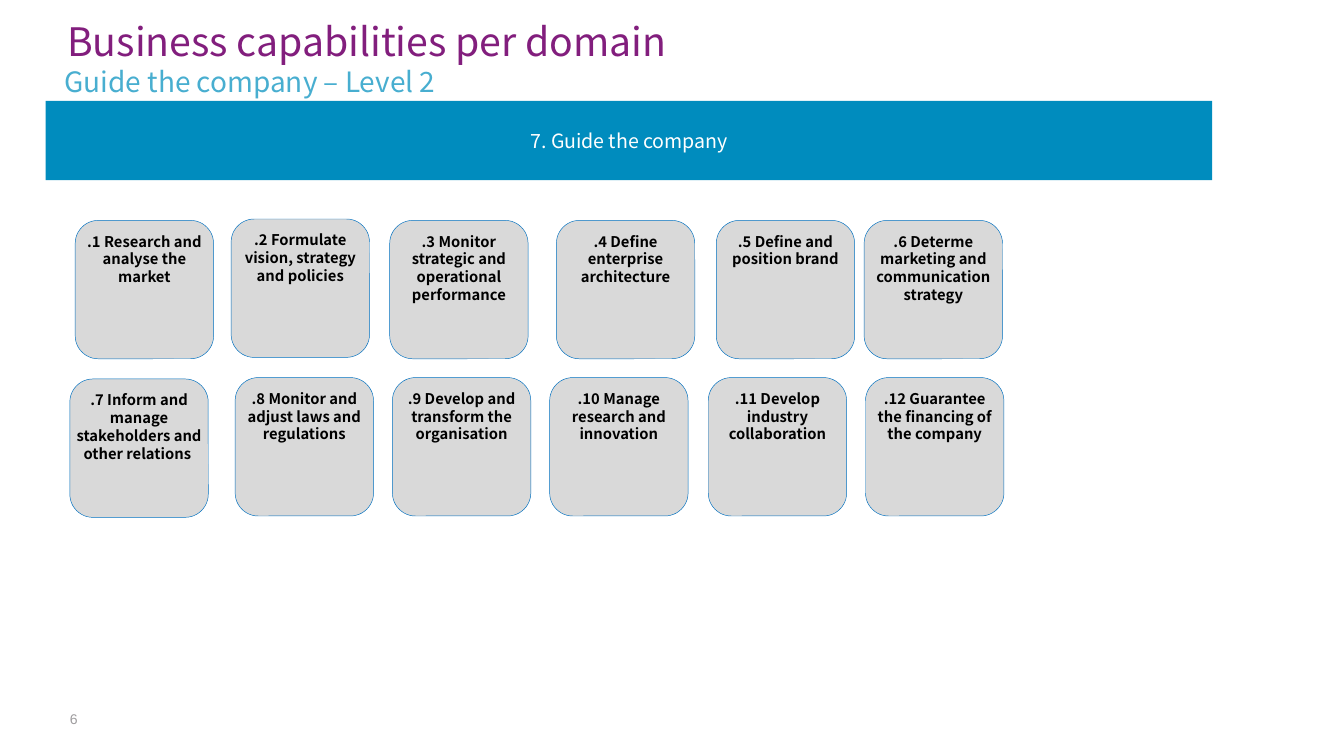
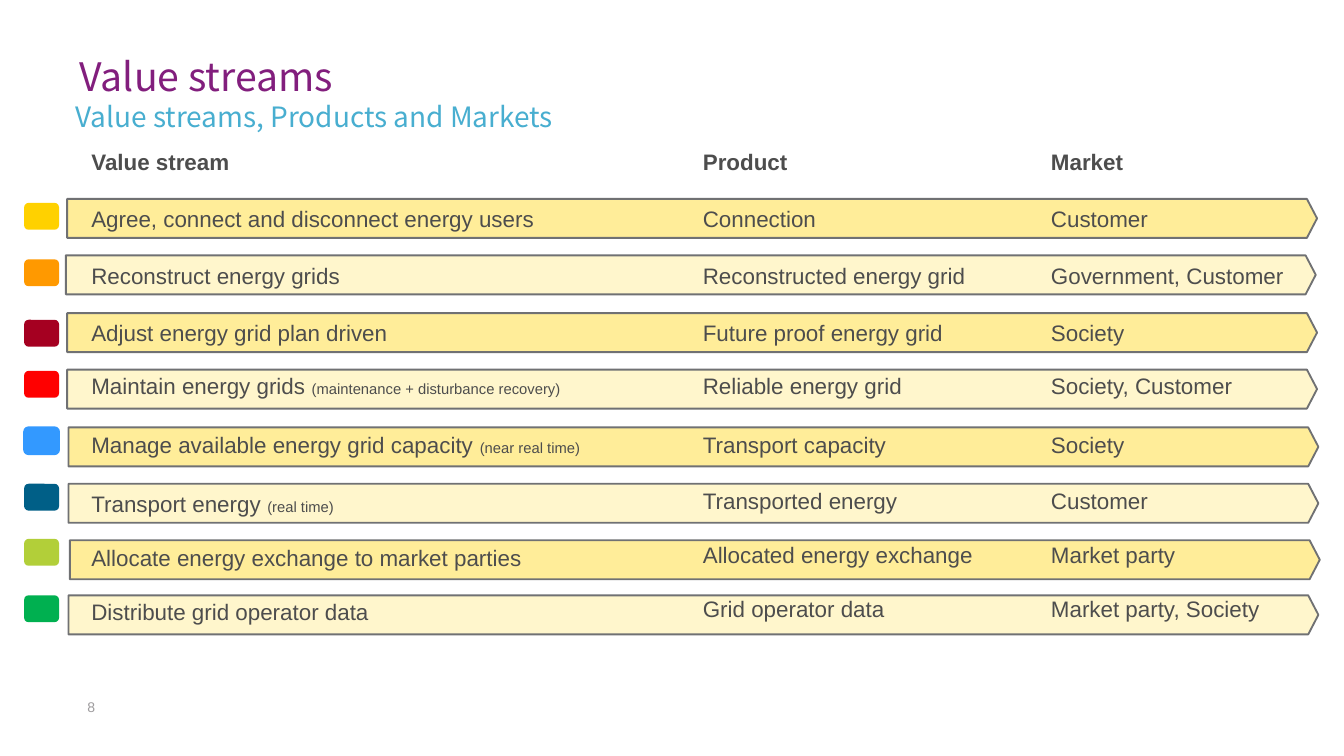
from pptx import Presentation
from pptx.dml.color import RGBColor
from pptx.enum.shapes import MSO_SHAPE
from pptx.enum.text import MSO_ANCHOR, MSO_AUTO_SIZE, PP_ALIGN
from pptx.util import Inches, Pt

RECTANGLE = MSO_SHAPE.RECTANGLE
ROUNDED = MSO_SHAPE.ROUNDED_RECTANGLE
ARROW_BAR = MSO_SHAPE.PENTAGON
TOP, MIDDLE = MSO_ANCHOR.TOP, MSO_ANCHOR.MIDDLE
LEFT, CENTER = PP_ALIGN.LEFT, PP_ALIGN.CENTER
NO_AUTOFIT = MSO_AUTO_SIZE.NONE
TITLE_ONLY = 5
SLIDE_WIDTH = 10

HEADING_FONT, BODY_FONT = "Noto Sans CJK TC", "Arial"
PURPLE, SKY, BLUE = "821E7D", "48AED0", "008CBE"
WHITE, BLACK, TEXT_GREY, NUMBER_GREY = "FFFFFF", "000000", "4D4D4D", "9E9C9E"
CARD_FILL, CARD_LINE = "D9D9D9", "0070C0"
BAR_FILLS, BAR_LINE = ("FFED99", "FFF6CC"), "707173"

CARD_SIZE = 1.03
CAPABILITIES = [
    (0.56, 1.64, ".1 Research and analyse the market"),
    (1.72, 1.63, ".2 Formulate vision, strategy and policies"),
    (2.9, 1.64, ".3 Monitor strategic and operational performance"),
    (4.14, 1.64, ".4 Define enterprise architecture"),
    (5.33, 1.64, ".5 Define and position brand"),
    (6.43, 1.64, ".6 Determe marketing and communication strategy"),
    (0.52, 2.82, ".7 Inform and manage stakeholders and other relations "),
    (1.75, 2.81, ".8 Monitor and adjust laws and regulations"),
    (2.92, 2.81, ".9 Develop and transform the organisation"),
    (4.09, 2.81, ".10 Manage research and innovation"),
    (5.27, 2.81, ".11 Develop industry collaboration"),
    (6.44, 2.81, ".12 Guarantee the financing of the company"),
]

HEADINGS = ("Value stream", "Product", "Market")
STREAMS = [
    ("Agree, connect and disconnect energy users", "", "Connection", "Customer"),
    ("Reconstruct energy grids", "", "Reconstructed energy grid", "Government, Customer"),
    ("Adjust energy grid plan driven", "", "Future proof energy grid", "Society"),
    ("Maintain energy grids ", "(maintenance + disturbance recovery)",
     "Reliable energy grid", "Society, Customer"),
    ("Manage available energy grid capacity ", "(near real time)",
     "Transport capacity", "Society"),
    ("Transport energy ", "(real time)", "Transported energy", "Customer"),
    ("Allocate energy exchange to market parties", "",
     "Allocated energy exchange", "Market party"),
    ("Distribute grid operator data", "", "Grid operator data", "Market party, Society"),
]
BARS = [
    (0.5, 1.48), (0.49, 1.9), (0.5, 2.33), (0.5, 2.75),
    (0.51, 3.18), (0.51, 3.6), (0.52, 4.02), (0.51, 4.43),
]
MARKERS = [
    (1.51, "FFD100"), (1.93, "FF9900"), (2.38, "A50021"), (2.76, "FF0000"),
    (3.18, "3399FF"), (3.6, "005F87"), (4.01, "B2CF39"), (4.43, "00B050"),
]
OUTLINED_MARKER = "3399FF"
COLUMN_SPACING = [(4.5, 4.5)] * 3 + [(4.5, 2)] * 2 + [(8, 4.5), (4, 4.5)] + [(3, 4.5)] * 2
STREAM_SPACING = COLUMN_SPACING[:5] + [(8, 2), (8, 4.5)] + COLUMN_SPACING[7:]


def color(value):
    return RGBColor.from_string(value)


def add_run(paragraph, text, size, font, ink, bold=False):
    run = paragraph.add_run()
    run.text = text
    run.font.size = Pt(size)
    run.font.name = font
    run.font.bold = bold
    run.font.color.rgb = color(ink)


def prepare_frame(frame, anchor=TOP, side=0, edge=0):
    frame.word_wrap = True
    frame.auto_size = NO_AUTOFIT
    frame.vertical_anchor = anchor
    frame.margin_left = frame.margin_right = Inches(side)
    frame.margin_top = frame.margin_bottom = Inches(edge)
    return frame


def add_box(slide, left, top, width, height):
    box = slide.shapes.add_textbox(*map(Inches, (left, top, width, height)))
    return prepare_frame(box.text_frame)


def add_block(slide, preset, left, top, width, height, fill, line=None, weight=1):
    block = slide.shapes.add_shape(preset, *map(Inches, (left, top, width, height)))
    block.shadow.inherit = False
    block.fill.solid()
    block.fill.fore_color.rgb = color(fill)
    if line:
        block.line.color.rgb = color(line)
        block.line.width = Pt(weight)
    else:
        block.line.fill.background()
    return block


def add_label(block, text, size, ink, bold, anchor, side):
    frame = prepare_frame(block.text_frame, anchor, side, 0.04)
    paragraph = frame.paragraphs[0]
    paragraph.alignment = CENTER
    add_run(paragraph, text, size, HEADING_FONT, ink, bold)


def add_titled_slide(deck, title, title_at, subtitle, subtitle_at, number, number_at):
    slide = deck.slides.add_slide(deck.slide_layouts[TITLE_ONLY])
    heading = slide.shapes.title
    heading.left, heading.top = map(Inches, title_at)
    heading.width, heading.height = Inches(7.28), Inches(0.39)
    paragraph = prepare_frame(heading.text_frame).paragraphs[0]
    paragraph.alignment = LEFT
    paragraph.line_spacing = Pt(28)
    add_run(paragraph, title, 21, HEADING_FONT, PURPLE)

    paragraph = add_box(slide, *subtitle_at).paragraphs[0]
    paragraph.line_spacing = 1.2
    add_run(paragraph, subtitle, 15, HEADING_FONT, SKY)

    paragraph = add_box(slide, *number_at).paragraphs[0]
    add_run(paragraph, number, 7.5, BODY_FONT, NUMBER_GREY)
    return slide


def add_column(slide, left, width, heading, entries, spacing):
    frame = add_box(slide, left, 1, width, 3.73)
    rows = [(heading, "")] + entries
    for index, ((text, remark), (before, after)) in enumerate(zip(rows, spacing)):
        paragraph = frame.add_paragraph() if index else frame.paragraphs[0]
        paragraph.line_spacing = 1.5
        paragraph.space_before, paragraph.space_after = Pt(before), Pt(after)
        add_run(paragraph, text, 12, BODY_FONT, TEXT_GREY, index == 0)
        if remark:
            add_run(paragraph, remark, 7.9, BODY_FONT, TEXT_GREY)


def build_capabilities(deck):
    slide = add_titled_slide(
        deck, "Business capabilities per domain", (0.5, 0.09),
        "Guide the company – Level 2", (0.48, 0.43, 7.55, 0.22),
        "6", (0.52, 5.29, 2.25, 0.3))
    domain = add_block(slide, RECTANGLE, 0.34, 0.75, 8.68, 0.59, BLUE)
    add_label(domain, "7. Guide the company", 10.5, WHITE, False, MIDDLE, 0.07)
    for left, top, capability in CAPABILITIES:
        card = add_block(slide, ROUNDED, left, top, CARD_SIZE, CARD_SIZE,
                         CARD_FILL, CARD_LINE, 0.25)
        add_label(card, capability, 7.9, BLACK, True, TOP, 0)


def build_value_streams(deck):
    slide = add_titled_slide(
        deck, "Value streams", (0.59, 0.35),
        "Value streams, Products and Markets", (0.56, 0.69, 8.32, 0.24),
        "8", (0.65, 5.2, 0.39, 0.24))
    for index, (left, top) in enumerate(BARS):
        bar = add_block(slide, ARROW_BAR, left, top, 9.3, 0.29,
                        BAR_FILLS[index % 2], BAR_LINE)
        bar.adjustments[0] = 0.26
    for top, fill in MARKERS:
        outline = fill if fill == OUTLINED_MARKER else None
        add_block(slide, ROUNDED, 0.18, top, 0.26, 0.2, fill, outline)

    streams = [(stream, remark) for stream, remark, _, _ in STREAMS]
    products = [(product, "") for _, _, product, _ in STREAMS]
    markets = [(market, "") for _, _, _, market in STREAMS]
    add_column(slide, 0.68, 7.37, HEADINGS[0], streams, STREAM_SPACING)
    add_column(slide, 5.23, 3.53, HEADINGS[1], products, COLUMN_SPACING)
    add_column(slide, 7.82, 1.97, HEADINGS[2], markets, COLUMN_SPACING)


def main():
    deck = Presentation()
    deck.slide_width = Inches(SLIDE_WIDTH)
    deck.slide_height = Inches(SLIDE_WIDTH * 9 / 16)
    build_capabilities(deck)
    build_value_streams(deck)
    deck.save("out.pptx")


if __name__ == "__main__":
    main()
